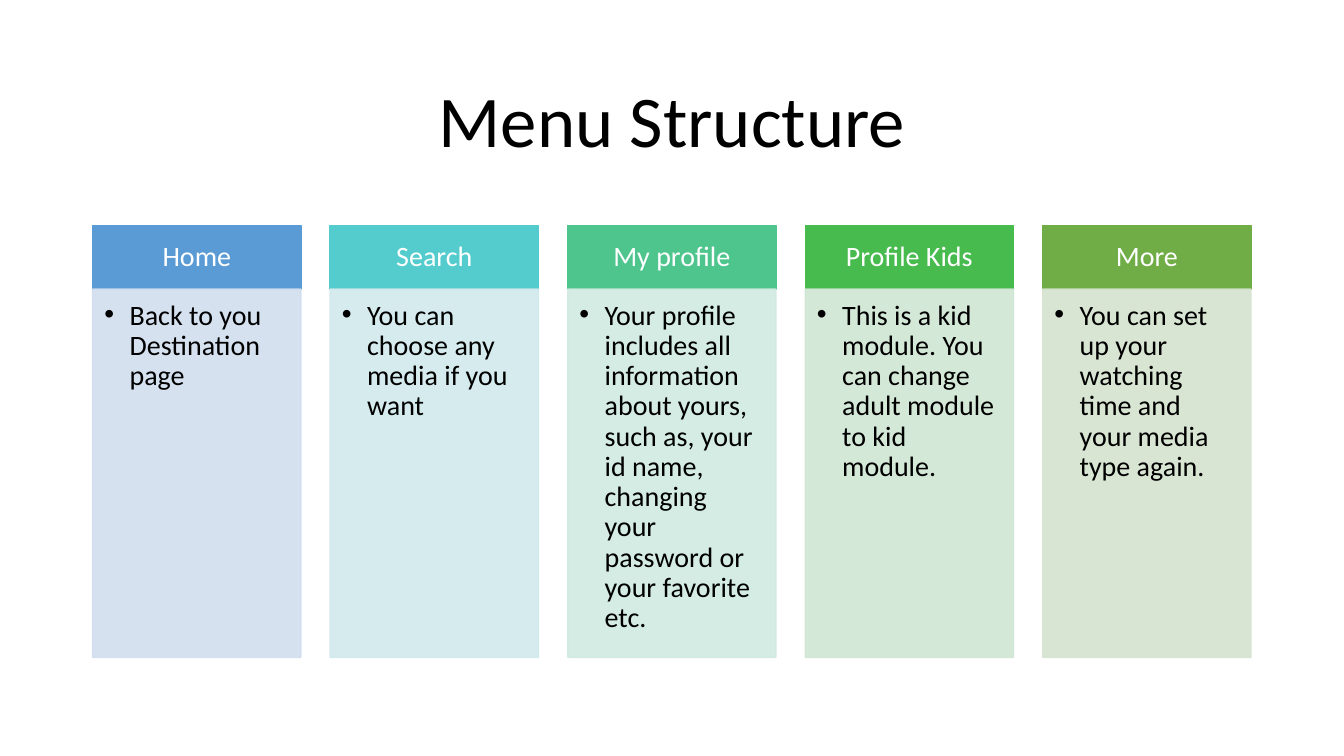
from lxml import etree
from pptx import Presentation
from pptx import util as u
from pptx.dml.color import RGBColor
from pptx.enum import shapes, text as t
from pptx.oxml.ns import qn

Pt = u.Pt
HUES = {
    "ink": "000000", "white": "FFFFFF",
    "home": "5B9BD5", "home_pale": "D2DEEF",
    "search": "54CCCD", "search_pale": "D1E9ED",
    "me": "4DC58D", "me_pale": "D0EAE1",
    "kids": "48BB4F", "kids_pale": "D0E6D4",
    "more": "70AD47", "more_pale": "D5E3CF",
}


def rgb(name):
    return RGBColor.from_string(HUES[name])


def write(frame, words, font="Calibri", size=20, hue="ink", align="LEFT",
          anchor="TOP", pads=(7.2, 3.6, 7.2, 3.6), indent=0):
    """Fill a text frame; a positive indent gives a bulleted paragraph."""
    frame.word_wrap = True
    frame.vertical_anchor = t.MSO_ANCHOR[anchor]
    (frame.margin_left, frame.margin_top,
     frame.margin_right, frame.margin_bottom) = map(Pt, pads)
    para = frame.paragraphs[0]
    para.alignment = t.PP_ALIGN[align]
    para.line_spacing = 0.9
    run = para.add_run()
    run.text = words
    run.font.name, run.font.size = font, Pt(size)
    run.font.color.rgb = rgb(hue)
    if indent:
        props = para._p.get_or_add_pPr()
        props.set("marL", str(Pt(indent)))
        props.set("indent", str(-Pt(indent)))
        etree.SubElement(props, qn("a:buFont")).set("typeface", "Arial")
        etree.SubElement(props, qn("a:buChar")).set("char", "•")


class Deck:
    def __init__(self, wide, high):
        self.prs = Presentation()
        self.prs.slide_width, self.prs.slide_height = Pt(wide), Pt(high)
        self.slide = self.prs.slides.add_slide(self.prs.slide_layouts[6])

    def label(self, area, words, **style):
        box = self.slide.shapes.add_textbox(*map(Pt, area))
        write(box.text_frame, words, **style)

    def panel(self, area, fill, words, alpha=100, **style):
        box = self.slide.shapes.add_shape(
            shapes.MSO_SHAPE.RECTANGLE, *map(Pt, area))
        box.shadow.inherit = False
        box.fill.solid()
        box.fill.fore_color.rgb = rgb(fill)
        box.line.color.rgb = rgb(fill)
        box.line.width = Pt(1)
        if alpha < 100:
            for tint in box._element.spPr.iter(qn("a:srgbClr")):
                etree.SubElement(tint, qn("a:alpha")).set(
                    "val", str(alpha * 1000))
        write(box.text_frame, words, **style)


deck = Deck(960, 540)

# Title
deck.label((66, 43.9, 828, 89.3), "Menu Structure", size=52,
           align="CENTER", anchor="MIDDLE")

# Menu columns: a coloured head above a pale body
MENU = [
    ("home", "Home", "Back to you Destination page"),
    ("search", "Search", "You can choose any media if you want"),
    ("me", "My profile", "Your profile includes all information about yours, "
     "such as, your id name, changing your password or your favorite etc."),
    ("kids", "Profile Kids",
     "This is a kid module. You can change adult module to kid module."),
    ("more", "More",
     "You can set up your watching time and your media type again."),
]
LEFT, TOP, WIDE, STEP = 66.2, 161.2, 148.8, 169.65
HEAD, BODY = 45.4, 263

for i, (hue, name, note) in enumerate(MENU):
    x = LEFT + i * STEP
    deck.panel((x, TOP, WIDE, HEAD), hue, name, hue="white", align="CENTER",
               anchor="MIDDLE", pads=(11.2, 6.4, 11.2, 6.4))
    deck.panel((x, TOP + HEAD, WIDE, BODY), hue + "_pale", note, alpha=90,
               pads=(8.4, 8.4, 11.2, 12.6), indent=18)

deck.prs.save("out.pptx")
